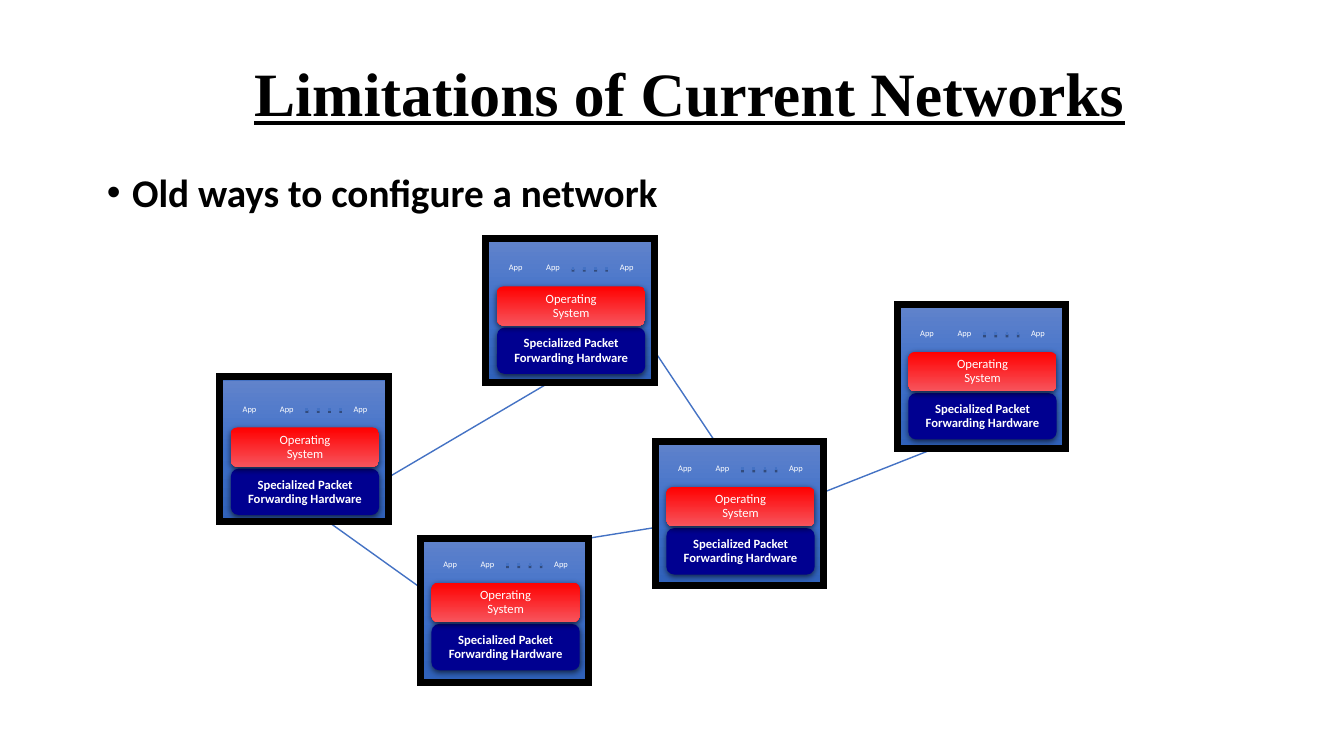
from lxml.etree import SubElement
from pptx import Presentation
from pptx.dml.color import RGBColor
from pptx.enum.shapes import MSO_CONNECTOR, MSO_SHAPE
from pptx.enum.text import MSO_ANCHOR, MSO_AUTO_SIZE, PP_ALIGN
from pptx.oxml.ns import qn
from pptx.util import Emu, Pt

EMU_PER_PX = 9144
BLUE = "4472C4"
PANEL_STOPS = [(0, "6183CB"), (50, "3E70CA"), (100, "3062BB")]
SYSTEM_STOPS = [(0, "FF0000"), (100, "F7545C")]
DEVICE_WIDTH, DEVICE_HEIGHT = 167, 143
DEVICES = [
    (218, 377, -3),
    (482, 237, 0),
    (890, 302, 0),
    (417, 531, 3),
    (650, 436, 2),
]
LINKS = [
    (381, 476, 566, 367),
    (649, 348, 734, 475),
    (534, 542, 683, 518),
    (301, 500, 417, 583),
    (800, 495, 957, 433),
]


def px(length):
    return Emu(length * EMU_PER_PX)


def color(value):
    return RGBColor.from_string(value)


def add_element(parent, tag, **attributes):
    element = SubElement(parent, qn(tag))
    for name, value in attributes.items():
        element.set(name, str(value))
    return element


def write_text(frame, text, size, font="Calibri", fill="FFFFFF", bold=False,
               underline=False, align=PP_ALIGN.CENTER, spacing=0.93,
               anchor=MSO_ANCHOR.MIDDLE, margin=None, bullet=False):
    frame.word_wrap = True
    frame.auto_size = MSO_AUTO_SIZE.NONE
    frame.vertical_anchor = anchor
    if margin is not None:
        frame.margin_left = frame.margin_right = px(margin)
        frame.margin_top = frame.margin_bottom = px(margin)
    frame.text = text
    for paragraph in frame.paragraphs:
        paragraph.alignment = align
        paragraph.line_spacing = spacing
        paragraph.space_before = Pt(0)
        if bullet:
            properties = paragraph._p.get_or_add_pPr()
            properties.set("marL", str(px(25)))
            properties.set("indent", str(px(-25)))
            add_element(properties, "a:buFont", typeface="Arial")
            add_element(properties, "a:buChar", char="•")
        for run in paragraph.runs:
            run.font.name = font
            run.font.size = Pt(size)
            run.font.bold = bold
            run.font.underline = underline
            run.font.color.rgb = color(fill)


def fill_gradient(shape, stops):
    shape.fill.gradient()
    gradient = shape._element.spPr.find(qn("a:gradFill"))
    for child in list(gradient):
        gradient.remove(child)
    stop_list = add_element(gradient, "a:gsLst")
    for position, value in stops:
        stop = add_element(stop_list, "a:gs", pos=position * 1000)
        add_element(stop, "a:srgbClr", val=value)
    add_element(gradient, "a:lin", ang=5400000, scaled=0)


def add_shadow(shape, opacity, blur, distance):
    effects = shape._element.spPr.find(qn("a:effectLst"))
    shadow = add_element(effects, "a:outerShdw", blurRad=Pt(blur), dist=Pt(distance),
                         dir=5400000, algn="ctr", rotWithShape=0)
    shadow_color = add_element(shadow, "a:srgbClr", val="000000")
    add_element(shadow_color, "a:alpha", val=opacity * 1000)


def add_box(shapes, kind, left, top, width, height):
    shape = shapes.add_shape(kind, px(left), px(top), px(width), px(height))
    shape.shadow.inherit = False
    return shape


def add_line(shapes, start_x, start_y, end_x, end_y, width):
    line = shapes.add_connector(MSO_CONNECTOR.STRAIGHT, px(start_x), px(start_y),
                                px(end_x), px(end_y))
    line.line.color.rgb = color(BLUE)
    line.line.width = Pt(width)
    add_element(line._element.spPr, "a:effectLst")
    return line


def add_layer(shapes, left, top, width, height, text, fill, bold):
    layer = add_box(shapes, MSO_SHAPE.ROUNDED_RECTANGLE, left, top, width, height)
    if isinstance(fill, str):
        layer.fill.solid()
        layer.fill.fore_color.rgb = color(fill)
    else:
        fill_gradient(layer, fill)
    layer.line.fill.background()
    add_shadow(layer, 63, 4.5, 1.5)
    write_text(layer.text_frame, text, 9, bold=bold)


def add_apps(shapes, left, top):
    group = shapes.add_group_shape()
    for offset in (0, 37, 110):
        app = group.shapes.add_textbox(px(left + offset), px(top), px(33), px(34))
        write_text(app.text_frame, "App", 6, margin=0)
    dots = add_line(group.shapes, left + 72, top + 17, left + 108, top + 17, 2)
    add_element(dots._element.spPr.find(qn("a:ln")), "a:prstDash", val="dot")
    add_shadow(dots, 38, 0, 1.6)


def add_device(shapes, left, top, width, height, frame_shift):
    panel = add_box(shapes, MSO_SHAPE.RECTANGLE, left, top, width, height)
    fill_gradient(panel, PANEL_STOPS)
    panel.line.color.rgb = color(BLUE)
    panel.line.width = Pt(0.5)
    layer_left, layer_width = left + 11, width - 20
    add_layer(shapes, layer_left, top + 88, layer_width, 46,
              "Specialized Packet Forwarding Hardware", "000090", True)
    add_layer(shapes, layer_left, top + 47, layer_width, 39,
              "Operating\nSystem", SYSTEM_STOPS, False)
    add_apps(shapes, left + 13, top + 12)
    frame = add_box(shapes, MSO_SHAPE.RECTANGLE, left, top + frame_shift, width, height)
    frame.fill.background()
    frame.line.color.rgb = color("000000")
    frame.line.width = Pt(5)
    add_element(frame._element.spPr.find(qn("a:ln")), "a:miter", lim=800000)


def place_placeholder(shape, left, top, width, height, text, **text_format):
    shape.left, shape.top = px(left), px(top)
    shape.width, shape.height = px(width), px(height)
    write_text(shape.text_frame, text, fill="000000", bold=True,
               align=PP_ALIGN.LEFT, spacing=0.9, **text_format)


def build_slide(presentation):
    slide = presentation.slides.add_slide(presentation.slide_layouts[1])
    place_placeholder(slide.shapes.title, 242, 33, 933, 125,
                      "Limitations of Current Networks", size=44,
                      font="Times New Roman", underline=True)
    place_placeholder(slide.placeholders[1], 96, 167, 1150, 476,
                      "Old ways to configure a network", size=28,
                      anchor=MSO_ANCHOR.TOP, bullet=True)
    for link in LINKS:
        add_line(slide.shapes, *link, width=1)
    for left, top, frame_shift in DEVICES:
        add_device(slide.shapes, left, top, DEVICE_WIDTH, DEVICE_HEIGHT, frame_shift)


def main():
    presentation = Presentation()
    presentation.slide_width = px(1333)
    presentation.slide_height = px(750)
    build_slide(presentation)
    presentation.save("out.pptx")


if __name__ == "__main__":
    main()
